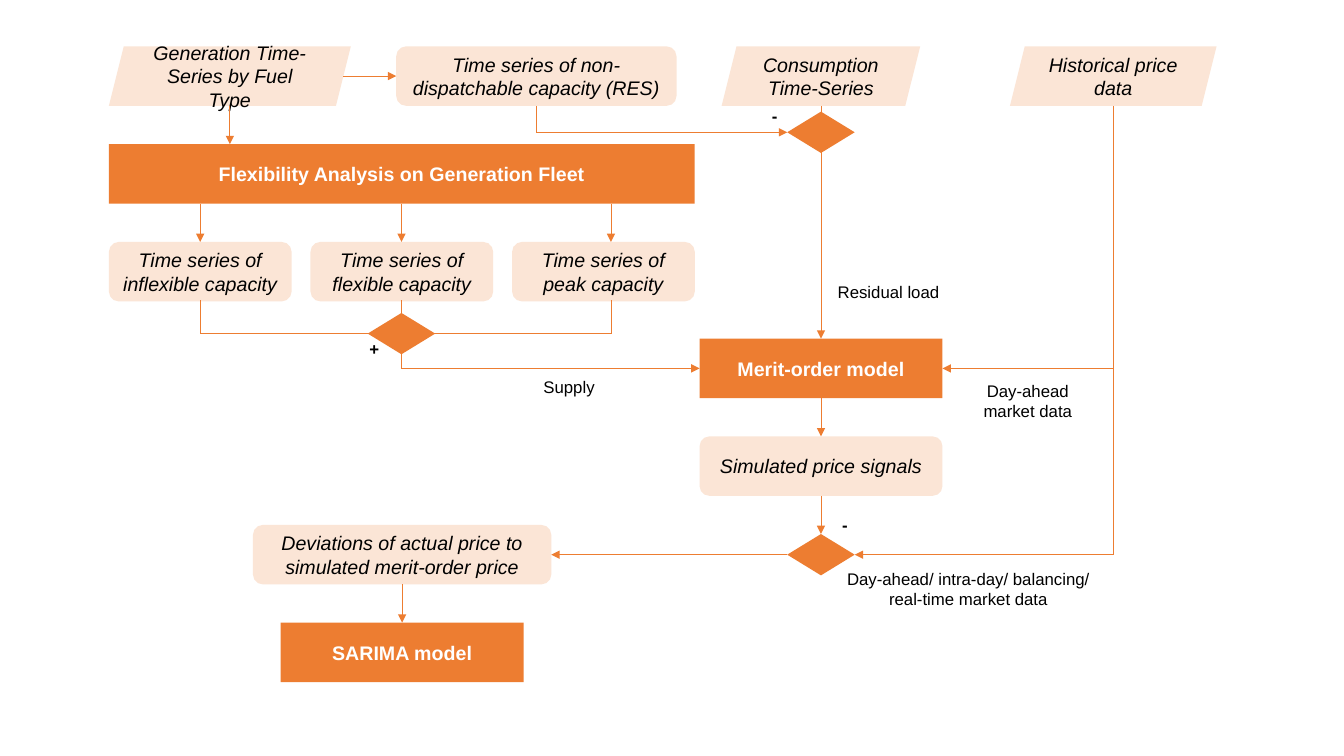
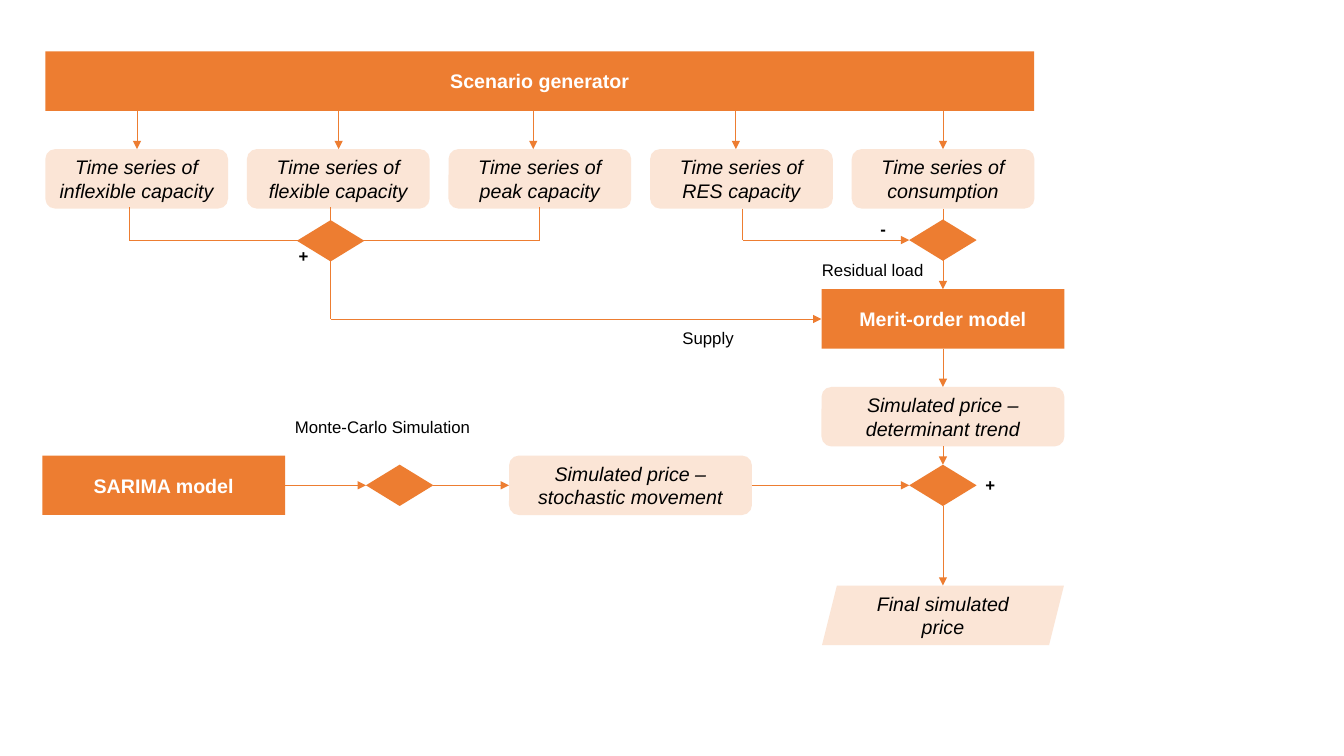
from dataclasses import dataclass

from lxml import etree
from pptx import Presentation
from pptx.dml.color import RGBColor
from pptx.enum.shapes import MSO_CONNECTOR, MSO_SHAPE
from pptx.enum.text import MSO_ANCHOR, PP_ALIGN
from pptx.oxml.ns import qn
from pptx.util import Pt

RECTANGLE = MSO_SHAPE.RECTANGLE
ROUNDED = MSO_SHAPE.ROUNDED_RECTANGLE
PARALLELOGRAM = MSO_SHAPE.PARALLELOGRAM
DIAMOND = MSO_SHAPE.DIAMOND
STRAIGHT = MSO_CONNECTOR.STRAIGHT
MIDDLE = MSO_ANCHOR.MIDDLE
TOP = MSO_ANCHOR.TOP
CENTER = PP_ALIGN.CENTER
RIGHT = PP_ALIGN.RIGHT

FONT = "Arial"
ORANGE = "ED7D31"
PEACH = "FBE5D6"
BLACK = "000000"
WHITE = "FFFFFF"

NODE_HEIGHT = 42.5
MODEL_WIDTH = 173.5
SERIES_WIDTH = 130.5
SERIES_PITCH = 144
ARROW_GAP = 27.3
BUS_DEPTH = 65.5
DIAMOND_WIDTH = 48.2
DIAMOND_HEIGHT = 29.5
LABEL_WIDTH = 175
SIGN_WIDTH = 23.8
LABEL_HEIGHT = 21.8
CAPACITIES = ["inflexible capacity", "flexible capacity", "peak capacity"]


@dataclass
class Box:
    left: float
    top: float
    width: float = MODEL_WIDTH
    height: float = NODE_HEIGHT

    @property
    def right(self):
        return self.left + self.width

    @property
    def bottom(self):
        return self.top + self.height

    @property
    def center_x(self):
        return self.left + self.width / 2

    @property
    def center_y(self):
        return self.top + self.height / 2

    def lengths(self):
        return Pt(self.left), Pt(self.top), Pt(self.width), Pt(self.height)


def color(value):
    return RGBColor.from_string(value)


def write_text(frame, text, size=14, fill=BLACK, bold=False, italic=False,
               align=CENTER, anchor=MIDDLE):
    frame.word_wrap = True
    frame.vertical_anchor = anchor
    frame.text = text
    for paragraph in frame.paragraphs:
        paragraph.alignment = align
        paragraph.font.name = FONT
        paragraph.font.size = Pt(size)
        paragraph.font.bold = bold
        paragraph.font.italic = italic
        paragraph.font.color.rgb = color(fill)


def add_block(slide, kind, box, fill):
    shape = slide.shapes.add_shape(kind, *box.lengths())
    shape.shadow.inherit = False
    shape.fill.solid()
    shape.fill.fore_color.rgb = color(fill)
    shape.line.fill.background()
    return shape


def add_model(slide, text, box):
    shape = add_block(slide, RECTANGLE, box, ORANGE)
    write_text(shape.text_frame, text, fill=WHITE, bold=True)
    return box


def add_data(slide, text, box, kind=ROUNDED):
    shape = add_block(slide, kind, box, PEACH)
    write_text(shape.text_frame, text, italic=True)
    return box


def add_junction(slide, center_x, center_y):
    box = Box(center_x - DIAMOND_WIDTH / 2, center_y - DIAMOND_HEIGHT / 2,
              DIAMOND_WIDTH, DIAMOND_HEIGHT)
    add_block(slide, DIAMOND, box, ORANGE)
    return box


def add_label(slide, text, left, top, width=LABEL_WIDTH, height=LABEL_HEIGHT,
              **text_format):
    box = Box(left, top, width, height)
    shape = slide.shapes.add_textbox(*box.lengths())
    write_text(shape.text_frame, text, size=12, anchor=TOP, **text_format)


def add_sign(slide, text, left, top):
    add_label(slide, text, left, top, SIGN_WIDTH, bold=True)


def add_route(slide, *points, arrow=True):
    last = len(points) - 2
    for index, (start, end) in enumerate(zip(points, points[1:])):
        ends = [Pt(value) for value in (*start, *end)]
        connector = slide.shapes.add_connector(STRAIGHT, *ends)
        connector.line.color.rgb = color(ORANGE)
        connector.line.width = Pt(0.5)
        if arrow and index == last:
            line = connector.line._get_or_add_ln()
            etree.SubElement(line, qn("a:tailEnd"), type="triangle")
        properties = connector._element.spPr
        etree.SubElement(properties, qn("a:effectLst"))


def add_series_row(slide, left, top, names, feeds):
    for index, (name, feed) in enumerate(zip(names, feeds)):
        box = Box(left + index * SERIES_PITCH, top, SERIES_WIDTH)
        add_data(slide, f"Time series of {name}", box)
        add_route(slide, (left + feed, top - ARROW_GAP), (left + feed, top))


def add_supply(slide, left, top, joints, model, label_offset):
    first, middle, last = [left + joint for joint in joints]
    bottom = top + NODE_HEIGHT - 1
    bus = top + BUS_DEPTH
    add_route(slide, (first, bottom), (first, bus), (last, bus), (last, bottom),
              arrow=False)
    add_junction(slide, middle, bus)
    add_route(slide, (middle, bottom), (middle, model.center_y),
              (model.left, model.center_y))
    add_sign(slide, "+", middle - 31.3, bus)
    add_label(slide, "Supply", model.left - label_offset, model.center_y + 2.5)


def add_residual_load(slide, source_bottom, junction_y, renewable_x, model):
    center = model.center_x
    add_route(slide, (center, source_bottom), (center, model.top))
    junction = add_junction(slide, center, junction_y)
    add_route(slide, (renewable_x, source_bottom), (renewable_x, junction_y),
              (junction.left, junction_y))


def add_price_chain(slide, model, signal, junction_y):
    add_model(slide, "Merit-order model", model)
    center = model.center_x
    price = add_data(slide, signal, Box(model.left, model.bottom + ARROW_GAP))
    add_route(slide, (center, model.bottom), (center, price.top))
    junction = add_junction(slide, center, junction_y)
    add_route(slide, (center, price.bottom), (center, junction.top))
    return junction


def add_inputs(slide, left, top, fleet):
    generation = add_data(slide, "Generation Time-Series by Fuel Type",
                          Box(left, top, 172.8), PARALLELOGRAM)
    renewable = add_data(slide, "Time series of non-dispatchable capacity (RES)",
                         Box(left + 205.2, top, 200.2))
    add_data(slide, "Consumption Time-Series", Box(left + 437.7, top, 141.8),
             PARALLELOGRAM)
    history = add_data(slide, "Historical price data",
                       Box(left + 643.6, top, 147.6), PARALLELOGRAM)
    add_route(slide, (generation.right - 5.3, generation.center_y),
              (renewable.left, renewable.center_y))
    add_route(slide, (generation.center_x, generation.bottom),
              (generation.center_x, fleet.top))
    return renewable, history


def add_market_data(slide, history, model, junction):
    trunk = history.center_x
    add_route(slide, (trunk, history.bottom), (trunk, junction.center_y),
              (junction.right, junction.center_y))
    add_route(slide, (trunk, model.center_y), (model.right, model.center_y))
    add_label(slide, "Day-ahead\nmarket data", model.right - 26.5,
              model.center_y + 5.4, height=36)
    add_label(slide, "Day-ahead/ intra-day/ balancing/ real-time market data",
              junction.center_x + 7, junction.center_y + 6.2, 196.6, 36)


def add_deviations(slide, left, junction):
    deviations = add_data(
        slide, "Deviations of actual price to simulated merit-order price",
        Box(left, junction.center_y - NODE_HEIGHT / 2, 213.1))
    center = deviations.center_x
    sarima = add_model(slide, "SARIMA model",
                       Box(center - MODEL_WIDTH / 2,
                           deviations.bottom + ARROW_GAP))
    add_route(slide, (junction.left, junction.center_y),
              (deviations.right, deviations.center_y))
    add_route(slide, (center, deviations.bottom), (center, sarima.top))


def add_stochastic_chain(slide, left, top, junction):
    sarima = add_model(slide, "SARIMA model", Box(left, top))
    center = sarima.center_y
    sampler = add_junction(slide, left + 255.3, center)
    movement = add_data(slide, "Simulated price – stochastic movement",
                        Box(left + 333.4, top))
    for start, end in ((sarima, sampler), (sampler, movement),
                       (movement, junction)):
        add_route(slide, (start.right, center), (end.left, center))
    add_label(slide, "Monte-Carlo Simulation", left + 155.6, top - 31.6)


def build_analysis_slide(slide):
    left = 77.8
    fleet = add_model(slide, "Flexibility Analysis on Generation Fleet",
                      Box(left, 103, 418.3))
    renewable, history = add_inputs(slide, left, 33.1, fleet)
    series_top = fleet.bottom + ARROW_GAP
    joints = [65.2, 209, 358.6]
    model = Box(499.7, 241.9)
    add_series_row(slide, left, series_top, CAPACITIES, joints)
    junction = add_price_chain(slide, model, "Simulated price signals", 396.2)
    add_supply(slide, left, series_top, joints, model, 180.7)
    add_residual_load(slide, renewable.bottom, 94.5, renewable.center_x, model)
    add_market_data(slide, history, model, junction)
    add_deviations(slide, 180.7, junction)
    add_sign(slide, "-", 541.4, 72)
    add_sign(slide, "-", 591.6, 364.3)
    add_label(slide, "Residual load", 547.2, 198)


def build_scenario_slide(slide):
    left = 32.4
    scenario = add_model(slide, "Scenario generator", Box(left, 36.7, 706.3))
    series_top = scenario.bottom + ARROW_GAP
    model = Box(586.8, 206.6)
    add_series_row(slide, left, series_top,
                   CAPACITIES + ["RES capacity", "consumption"],
                   [65.5, 209.5, 348.5, 493.2, 641.2])
    junction = add_price_chain(slide, model,
                               "Simulated price – determinant trend", 346.7)
    add_supply(slide, left, series_top, [59.8, 203.8, 352.8], model, 168.5)
    add_residual_load(slide, series_top + NODE_HEIGHT, 171.5, 530.6, model)
    add_stochastic_chain(slide, 30.2, 325.4, junction)
    final = add_data(slide, "Final simulated price", Box(587.2, 418.3, 172.8),
                     PARALLELOGRAM)
    add_route(slide, (junction.center_x, junction.bottom),
              (junction.center_x, final.top))
    add_sign(slide, "-", 619, 152.6)
    add_sign(slide, "+", 695.5, 335.5)
    add_label(slide, "Residual load", 491.8, 182.2, align=RIGHT)


def main():
    presentation = Presentation()
    presentation.slide_width = Pt(960)
    presentation.slide_height = Pt(540)
    blank = presentation.slide_layouts[6]
    for build in (build_analysis_slide, build_scenario_slide):
        build(presentation.slides.add_slide(blank))
    presentation.save("out.pptx")


if __name__ == "__main__":
    main()
